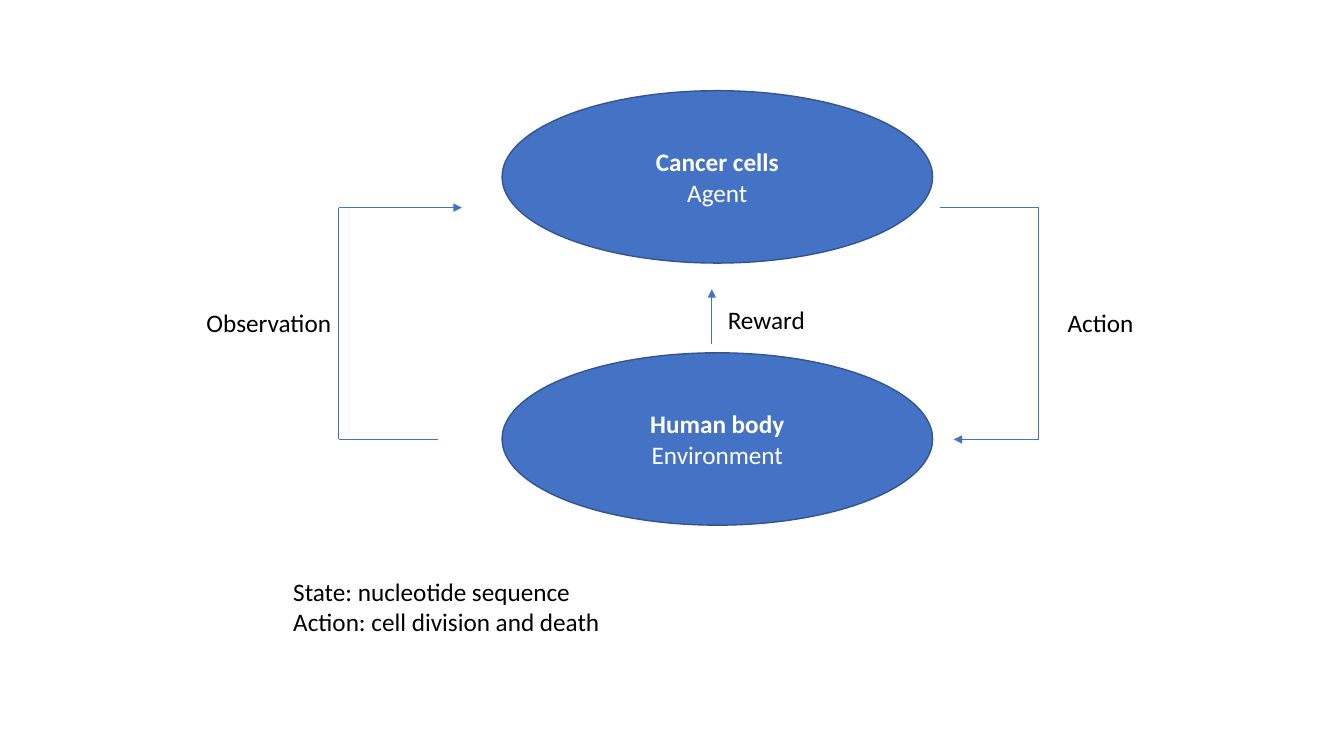
"""Draw the agent and environment loop of cancer cells in the human body."""
from lxml import etree
from pptx import Presentation
from pptx.dml.color import RGBColor
from pptx.enum.shapes import MSO_CONNECTOR, MSO_SHAPE
from pptx.enum.text import MSO_ANCHOR, MSO_AUTO_SIZE, PP_ALIGN
from pptx.oxml.ns import qn
from pptx.util import Inches, Pt

OVAL = MSO_SHAPE.OVAL
LINE = MSO_CONNECTOR.STRAIGHT
MIDDLE = MSO_ANCHOR.MIDDLE
GROW = MSO_AUTO_SIZE.SHAPE_TO_FIT_TEXT
LEFT, CENTER = PP_ALIGN.LEFT, PP_ALIGN.CENTER
COLORS = {"blue": "4472C4", "edge": "325491", "white": "FFFFFF", "black": "000000"}


def color(name):
    return RGBColor.from_string(COLORS[name])


def write(frame, text, size=18, font="Calibri", ink="black", align=LEFT, head=False):
    frame.word_wrap = True
    for i, row in enumerate(text.split("\n")):
        para = frame.add_paragraph() if i else frame.paragraphs[0]
        para.alignment = align
        run = para.add_run()
        run.text = row
        run.font.size = Pt(size)
        run.font.name = font
        run.font.bold = head and i == 0
        run.font.color.rgb = color(ink)


class Board:
    def __init__(self, slide):
        self.shapes = slide.shapes
        self.thin = Pt(0.5)
        self.edge = Pt(1)

    def oval(self, text, x, y, w, h):
        oval = self.shapes.add_shape(OVAL, Inches(x), Inches(y), Inches(w), Inches(h))
        oval.shadow.inherit = False
        oval.fill.solid()
        oval.fill.fore_color.rgb = color("blue")
        oval.line.color.rgb = color("edge")
        oval.line.width = self.edge
        oval.text_frame.vertical_anchor = MIDDLE
        write(oval.text_frame, text, ink="white", align=CENTER, head=True)

    def label(self, text, x, y, w=2.84, h=0.4):
        box = self.shapes.add_textbox(Inches(x), Inches(y), Inches(w), Inches(h))
        box.text_frame.auto_size = GROW
        write(box.text_frame, text)

    def line(self, start, end, arrow=False):
        ends = [Inches(v) for v in (*start, *end)]
        line = self.shapes.add_connector(LINE, *ends)
        line.line.color.rgb = color("blue")
        line.line.width = self.thin
        props = line._element.spPr
        if arrow:
            tip = etree.SubElement(props.find(qn("a:ln")), qn("a:tailEnd"))
            tip.set("type", "triangle")
        etree.SubElement(props, qn("a:effectLst"))

    def route(self, *points):
        last = len(points) - 2
        for i, pair in enumerate(zip(points, points[1:])):
            self.line(*pair, arrow=i == last)


def main():
    deck = Presentation()
    deck.slide_width, deck.slide_height = Inches(13.33), Inches(7.5)
    board = Board(deck.slides.add_slide(deck.slide_layouts[6]))

    board.oval("Cancer cells\nAgent", 4.98, 0.9, 4.27, 1.71)
    board.oval("Human body\nEnvironment", 4.98, 3.5, 4.27, 1.71)

    top, low = 2.06, 4.36
    west, east = 3.36, 10.3
    board.route((4.34, low), (west, low), (west, top), (4.58, top))
    board.route((9.32, top), (east, top), (east, low), (9.46, low))
    board.route((7.06, 3.41), (7.06, 2.87))

    board.label("Observation", 1.95, 3)
    board.label("Action", 10.49, 3)
    board.label("Reward", 7.12, 2.97)
    board.label("State: nucleotide sequence\nAction: cell division and death",
                2.81, 5.67, 4.48, 1.01)
    deck.save("out.pptx")


if __name__ == "__main__":
    main()
